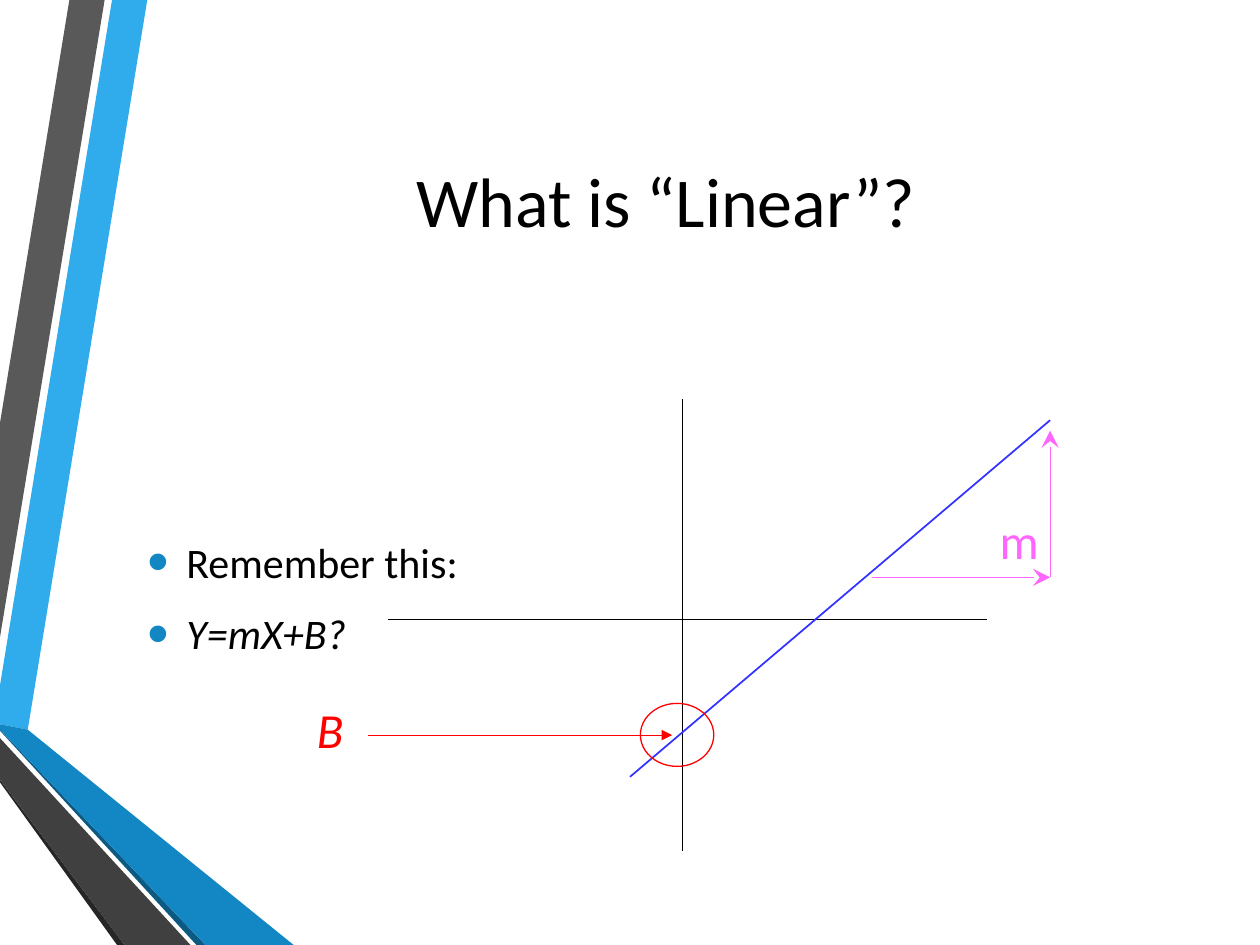
from lxml import etree
from pptx import Presentation
from pptx.dml.color import RGBColor
from pptx.enum.shapes import MSO_CONNECTOR, MSO_SHAPE
from pptx.enum.text import MSO_ANCHOR, MSO_AUTO_SIZE, PP_ALIGN
from pptx.oxml.ns import qn
from pptx.util import Cm, Pt

STRAIGHT = MSO_CONNECTOR.STRAIGHT
OVAL = MSO_SHAPE.OVAL
MIDDLE = MSO_ANCHOR.MIDDLE
TOP = MSO_ANCHOR.TOP
NO_FIT = MSO_AUTO_SIZE.NONE
CENTER = PP_ALIGN.CENTER

FONT = "Calibri"
BLACK = RGBColor(0x00, 0x00, 0x00)
RED = RGBColor(0xFF, 0x00, 0x00)
PINK = RGBColor(0xFF, 0x66, 0xFF)
VIOLET = RGBColor(0x33, 0x33, 0xFF)
SKY = RGBColor(0x30, 0xAC, 0xEC)
BLUE = RGBColor(0x12, 0x87, 0xC3)
NAVY = RGBColor(0x0C, 0x5A, 0x82)
GRAY = RGBColor(0x59, 0x59, 0x59)
COAL = RGBColor(0x40, 0x40, 0x40)
DARK = RGBColor(0x26, 0x26, 0x26)

# Ribbon outlines in cm, from back to front
RIBBONS = [
    (SKY, [(0, 13.82), (0, 14.6), (0.56, 14.71), (2.97, 0), (2.26, 0)]),
    (GRAY, [(2.11, 0), (1.4, 0), (0, 8.53), (0, 12.85)]),
    (DARK, [(0, 15.72), (0, 15.77), (2.36, 19.05), (2.51, 19.05)]),
    (NAVY, [(0, 14.71), (0, 14.73), (3.96, 19.05), (4.14, 19.05)]),
    (BLUE, [(0, 14.71), (4.14, 19.05), (5.92, 19.05), (0.56, 14.71), (0, 14.6)]),
    (COAL, [(0, 15.72), (2.51, 19.05), (3.84, 19.05), (0, 14.88)]),
]


def add_ribbon(slide, color, points):
    first, *rest = [(Cm(x), Cm(y)) for x, y in points]
    pen = slide.shapes.build_freeform(*first)
    pen.add_line_segments(rest, close=True)
    shape = pen.convert_to_shape()
    shape.shadow.inherit = False
    shape.fill.solid()
    shape.fill.fore_color.rgb = color
    shape.line.fill.background()


def add_line(slide, start, end, color, width=0.75, arrow=None, size="med"):
    ends = [Cm(v) for v in (*start, *end)]
    line = slide.shapes.add_connector(STRAIGHT, *ends)
    line.line.color.rgb = color
    line.line.width = Pt(width)
    if arrow:
        etree.SubElement(line.line._get_or_add_ln(), qn("a:tailEnd"),
                         type=arrow, w=size, len=size)
    etree.SubElement(line._element.spPr, qn("a:effectLst"))


def add_ring(slide, left, top, width, height, color):
    ring = slide.shapes.add_shape(OVAL, Cm(left), Cm(top), Cm(width), Cm(height))
    ring.shadow.inherit = False
    ring.fill.background()
    ring.line.color.rgb = color
    ring.line.width = Pt(0.75)


def set_font(para, size, color, italic=False):
    font = para.font
    font.name, font.size, font.italic = FONT, Pt(size), italic
    font.color.rgb = color


def add_box(slide, left, top, width, height, anchor=TOP):
    box = slide.shapes.add_textbox(Cm(left), Cm(top), Cm(width), Cm(height))
    frame = box.text_frame
    frame.word_wrap = True
    frame.vertical_anchor = anchor
    return frame


def add_label(slide, text, left, top, width, color, italic=False):
    para = add_box(slide, left, top, width, 1.45).paragraphs[0]
    para.text = text
    set_font(para, 28, color, italic)


def add_bullet(para):
    props = para._p.get_or_add_pPr()
    props.set("marL", str(Cm(0.79)))
    props.set("indent", str(-Cm(0.79)))
    tint = etree.SubElement(props, qn("a:buClr"))
    etree.SubElement(tint, qn("a:srgbClr"), val=str(BLUE))
    etree.SubElement(props, qn("a:buSzPct"), val="145000")
    etree.SubElement(props, qn("a:buFont"), typeface="Arial")
    etree.SubElement(props, qn("a:buChar"), char="•")


def add_list(slide, items):
    frame = add_box(slide, 2.72, 7.42, 21.41, 9.25, MIDDLE)
    for i, (text, italic) in enumerate(items):
        para = frame.add_paragraph() if i else frame.paragraphs[0]
        para.text = text
        add_bullet(para)
        para.space_before = Pt(6 if i else 0)
        para.space_after = Pt(6)
        set_font(para, 24, BLACK, italic)


def set_title(slide, text):
    title = slide.shapes.title
    title.left, title.top = Cm(2.72), Cm(1.27)
    title.width, title.height = Cm(21.41), Cm(5.51)
    frame = title.text_frame
    frame.text = text
    frame.auto_size = NO_FIT
    frame.vertical_anchor = MIDDLE
    para = frame.paragraphs[0]
    para.alignment = CENTER
    set_font(para, 40, BLACK)


def main():
    prs = Presentation()
    prs.slide_width, prs.slide_height = Cm(25.4), Cm(19.05)
    slide = prs.slides.add_slide(prs.slide_layouts[5])

    # Ribbons on the left edge
    for color, points in RIBBONS:
        add_ribbon(slide, color, points)

    # Title and list
    set_title(slide, "What is “Linear”?")
    add_list(slide, [("Remember this:", False), ("Y=mX+B?", True)])

    # Axes and the straight line
    add_line(slide, (13.76, 8.04), (13.76, 17.15), BLACK)
    add_line(slide, (7.83, 12.49), (19.9, 12.49), BLACK)
    add_line(slide, (12.7, 15.66), (21.17, 8.47), VIOLET, width=1)

    # Intercept B
    add_ring(slide, 12.91, 14.18, 1.48, 1.27, RED)
    add_label(slide, "B", 6.14, 13.97, 1.9, RED, italic=True)
    add_line(slide, (7.41, 14.82), (13.55, 14.82), RED, arrow="triangle")

    # Slope m
    corner = (21.17, 11.64)
    add_line(slide, (17.57, 11.64), corner, PINK, arrow="stealth", size="lg")
    add_line(slide, corner, (21.17, 8.68), PINK, arrow="stealth", size="lg")
    add_label(slide, "m", 19.9, 10.16, 2.54, PINK)

    prs.save("out.pptx")


if __name__ == "__main__":
    main()
